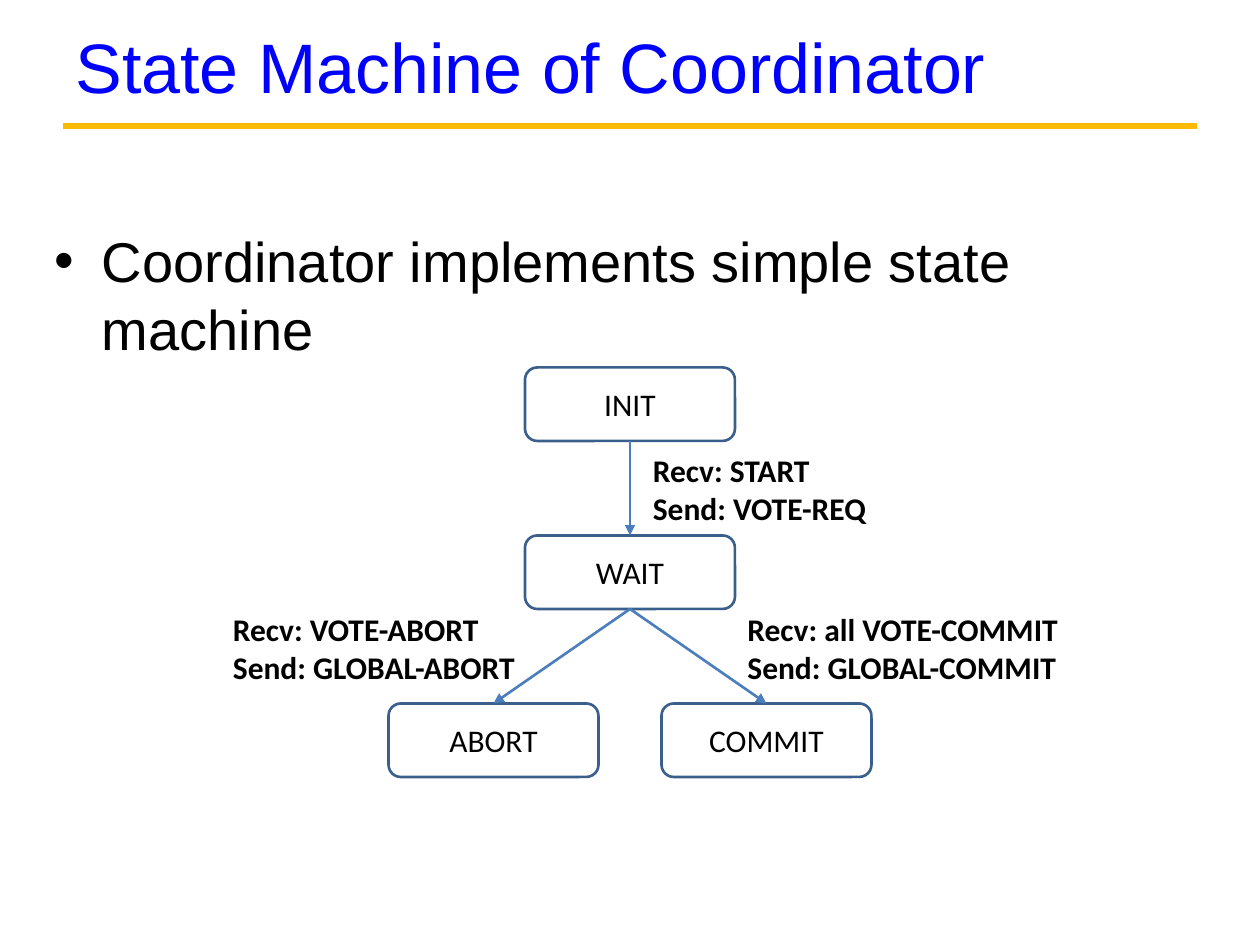
from pptx import Presentation
from pptx import util as u
from pptx.dml.color import RGBColor
from pptx.enum import shapes, text
from pptx.oxml.ns import qn
from lxml import etree

COLORS = {"title": "0000FF", "text": "000000", "rule": "FBBA03",
          "box": "3A5F8C", "arrow": "4B7EBC"}
COLS, ROWS = 120, 90
BOX_W, BOX_H = 20, 7
MID = COLS / 2


class Deck:
    """Holds the style, the grid and the current slide."""

    def __init__(self):
        self.prs = Presentation()
        self.prs.slide_width = u.Inches(10)
        self.prs.slide_height = u.Inches(7.5)
        self.slide = self.prs.slides.add_slide(self.prs.slide_layouts[1])

    def x(self, col):
        return round(self.prs.slide_width * col / COLS)

    def y(self, row):
        return round(self.prs.slide_height * row / ROWS)

    def area(self, col, row, wide, high):
        return self.x(col), self.y(row), self.x(wide), self.y(high)

    def style(self, frame, size, font, color="text", bold=False, align=None):
        for para in frame.paragraphs:
            para.alignment = align
            for run in para.runs:
                run.font.size = u.Pt(size)
                run.font.name = font
                run.font.bold = bold
                run.font.color.rgb = RGBColor.from_string(COLORS[color])

    def stroke(self, line, color, width):
        line.color.rgb = RGBColor.from_string(COLORS[color])
        line.width = u.Pt(width)

    def holder(self, index, words, area, size, color, anchor):
        """Fill and move one of the layout's placeholders."""
        item = self.slide.placeholders[index]
        item.left, item.top, item.width, item.height = self.area(*area)
        frame = item.text_frame
        frame.text = words
        frame.auto_size = text.MSO_AUTO_SIZE.NONE
        frame.vertical_anchor = anchor
        self.style(frame, size, "Arial", color, align=text.PP_ALIGN.LEFT)

    def line(self, start, end, color, width):
        link = self.slide.shapes.add_connector(
            shapes.MSO_CONNECTOR.STRAIGHT, self.x(start[0]), self.y(start[1]),
            self.x(end[0]), self.y(end[1]))
        self.stroke(link.line, color, width)
        etree.SubElement(link._element.spPr, qn("a:effectLst"))
        return link

    def box(self, words, mid, row):
        """Add a state, centred on the column mid."""
        item = self.slide.shapes.add_shape(
            shapes.MSO_SHAPE.ROUNDED_RECTANGLE,
            *self.area(mid - BOX_W / 2, row, BOX_W, BOX_H))
        item.shadow.inherit = False
        item.fill.background()
        self.stroke(item.line, "box", 1.5)
        frame = item.text_frame
        frame.margin_left = frame.margin_right = 0
        frame.margin_top = frame.margin_bottom = 0
        frame.vertical_anchor = text.MSO_ANCHOR.MIDDLE
        frame.text = words
        self.style(frame, 18, "Calibri", align=text.PP_ALIGN.CENTER)
        return item

    def arrow(self, start, end):
        """Join the bottom of one state to the top of the next."""
        link = self.line((0, 0), (0, 0), "arrow", 1.5)
        link.begin_connect(start, 2)
        link.end_connect(end, 0)
        etree.SubElement(link.line._get_or_add_ln(), qn("a:tailEnd"),
                         type="triangle")

    def label(self, words, *area):
        frame = self.slide.shapes.add_textbox(*self.area(*area)).text_frame
        frame.word_wrap = True
        frame.auto_size = text.MSO_AUTO_SIZE.SHAPE_TO_FIT_TEXT
        frame.text = words
        self.style(frame, 18, "Calibri", bold=True)


def main():
    deck = Deck()
    deck.line((6, 12), (114, 12), "rule", 3.75)
    deck.holder(0, "State Machine of Coordinator", (6, 0.5, 108, 11.5),
                40, "title", text.MSO_ANCHOR.MIDDLE)
    deck.holder(1, "Coordinator implements simple state machine",
                (4, 21, 108, 59.4), 32, "text", text.MSO_ANCHOR.TOP)

    top, step, side = 35, 16, 13
    init = deck.box("INIT", MID, top)
    wait = deck.box("WAIT", MID, top + step)
    abort = deck.box("ABORT", MID - side, top + 2 * step)
    commit = deck.box("COMMIT", MID + side, top + 2 * step)
    for start, end in ((init, wait), (wait, abort), (wait, commit)):
        deck.arrow(start, end)

    deck.label("Recv: START\nSend: VOTE-REQ", 61, 42.4, 30, 8.5)
    deck.label("Recv: VOTE-ABORT\nSend: GLOBAL-ABORT", 21, 57.5, 38, 8.5)
    deck.label("Recv: all VOTE-COMMIT\nSend: GLOBAL-COMMIT",
               70, 57.5, 38, 8.5)
    deck.prs.save("out.pptx")


if __name__ == "__main__":
    main()
